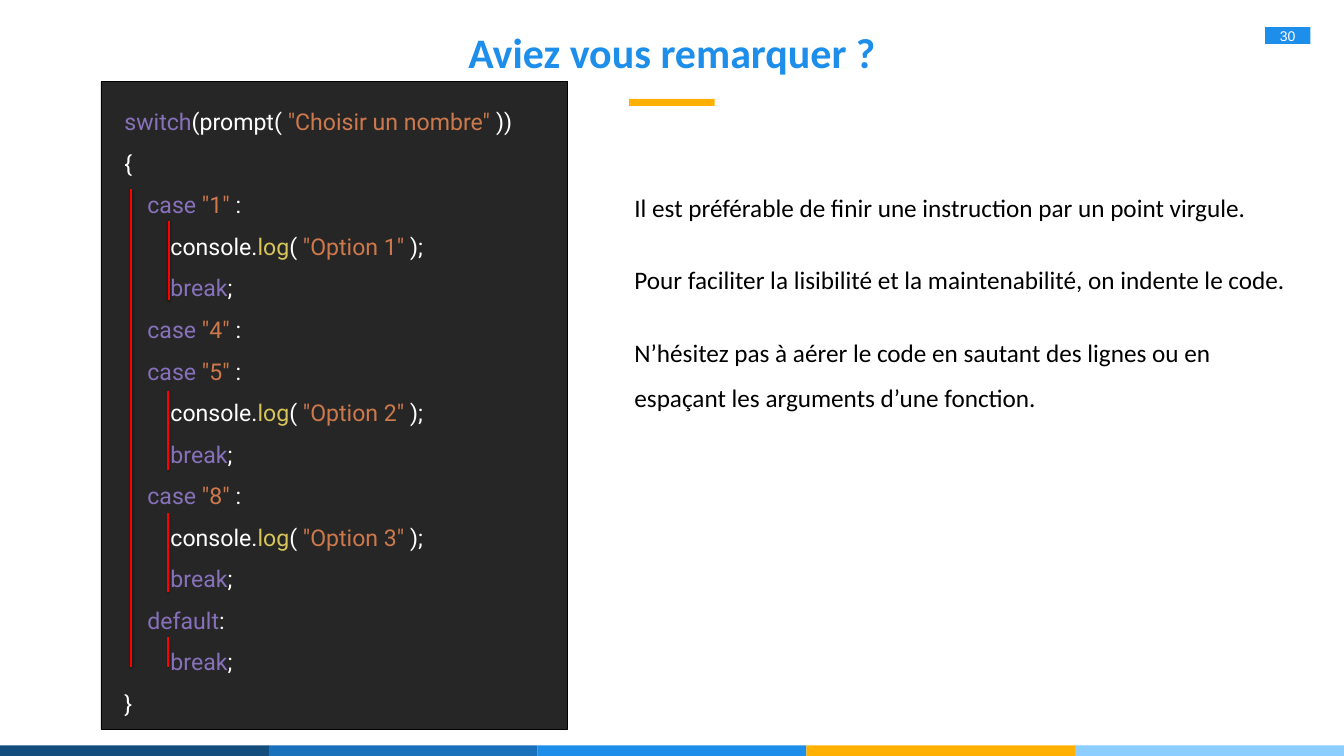
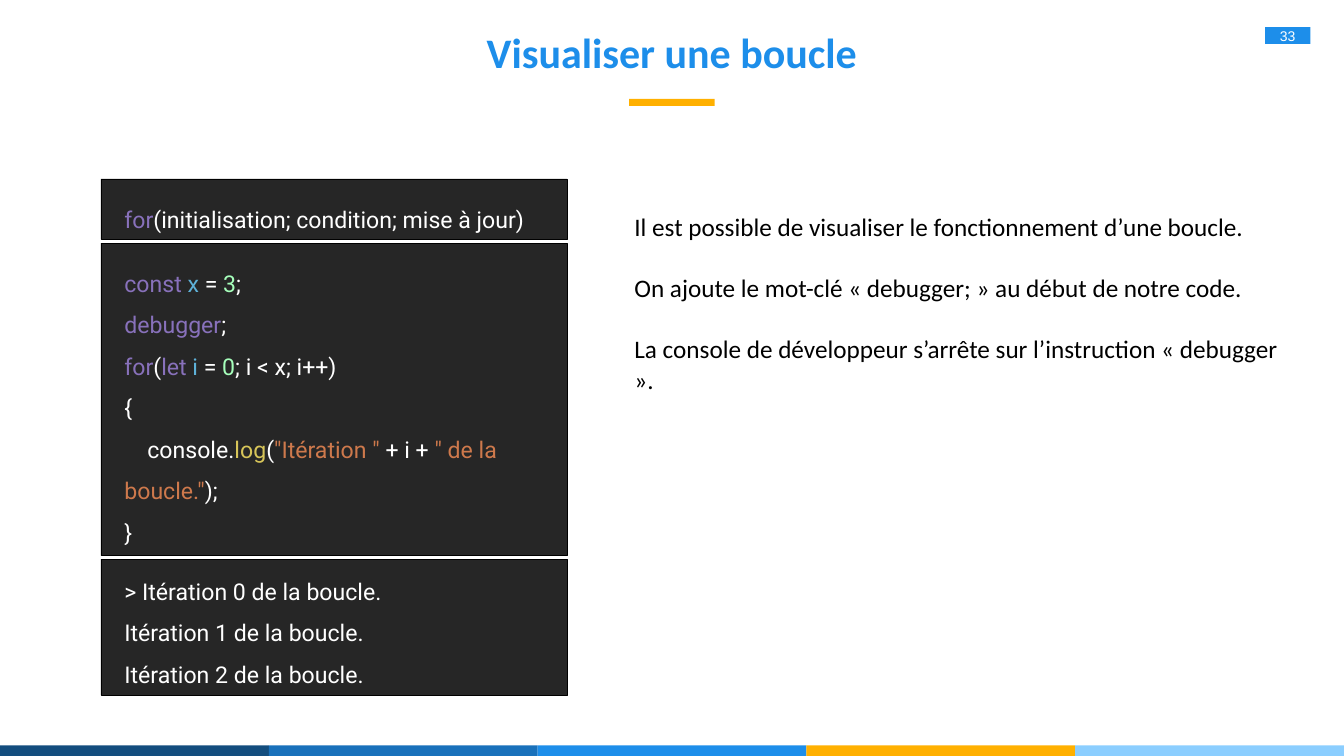
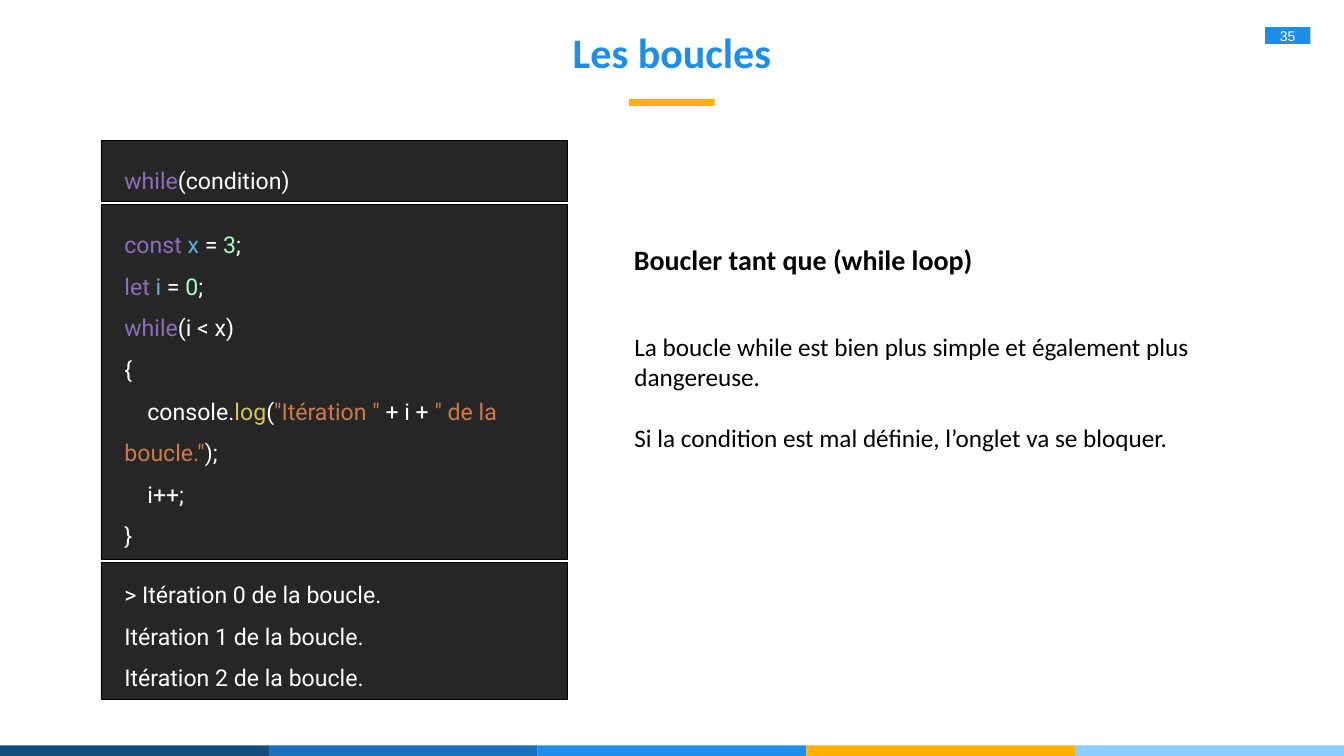
from dataclasses import dataclass
from functools import partial
from typing import Any, NamedTuple

from lxml.etree import SubElement
from pptx import Presentation
from pptx.dml.color import RGBColor
from pptx.enum.shapes import MSO_CONNECTOR, MSO_SHAPE
from pptx.enum.text import MSO_ANCHOR, MSO_AUTO_SIZE, PP_ALIGN
from pptx.oxml.ns import qn
from pptx.util import Cm, Pt

# Shared look
COLOURS = {
    "navy": "134D7E", "blue": "1971BB", "azure": "1D8EEA",
    "amber": "FFB000", "sky": "8BCEFF",
    "panel": "262626", "black": "000000", "white": "FFFFFF", "guide": "FF0000",
    "keyword": "8871BB", "string": "CE794C", "call": "D7C559",
    "name": "5EB1D8", "number": "A6FFBB",
}
BANDS = ["navy", "blue", "azure", "amber", "sky"]
WIDTH, HEIGHT = 67.73, 38.1
BAND_HEIGHT = 0.53
CODE_LEFT, CODE_WIDTH, PANEL_GAP = 5.08, 23.5, 0.18
CODE_INDENT = 1.16
NOTE_LEFT = 31.72

TITLE_FONT = {"name": "Calibri", "size": Pt(60), "bold": True}
NOTE_FONT = {"name": "Calibri", "size": Pt(36)}
HEADING_FONT = {"name": "Calibri", "size": Pt(40), "bold": True}
CODE_FONT = {"name": "Roboto", "size": Pt(33)}
BADGE_FONT = {"name": "Arial", "size": Pt(20)}

PADDED = {"margin_left": Cm(1.19), "margin_right": Cm(1.19),
          "margin_top": Cm(0.61), "margin_bottom": Cm(0.61)}
GROWING = {"word_wrap": True, "auto_size": MSO_AUTO_SIZE.SHAPE_TO_FIT_TEXT}
CODE_FRAME = {**PADDED, **GROWING, "vertical_anchor": MSO_ANCHOR.TOP}
HEADING_FRAME = {**PADDED, **GROWING, "word_wrap": False,
                 "vertical_anchor": MSO_ANCHOR.MIDDLE}
BADGE_FRAME = {"margin_left": 0, "margin_right": 0, "margin_top": 0,
               "margin_bottom": 0, "vertical_anchor": MSO_ANCHOR.MIDDLE}
TITLE_FRAME = {"word_wrap": True, "auto_size": MSO_AUTO_SIZE.NONE,
               "vertical_anchor": MSO_ANCHOR.MIDDLE}


class Token(NamedTuple):
    colour: str
    text: str


class CodeLine(NamedTuple):
    level: int
    tokens: list[Token]


@dataclass
class CodePanel:
    height: float
    lines: list[CodeLine]
    top_inset: float = 0.61


@dataclass
class Note:
    top: float
    height: float
    paragraphs: list[str]
    width: float = 33.38
    line_spacing: float = 1.0


@dataclass
class Lesson:
    number: int
    title: str
    code_top: float
    panels: list[CodePanel]
    notes: list[Note]


class Guide(NamedTuple):
    x: float
    top: float
    bottom: float


# Code vocabulary
plain, keyword, string, call, name, number = (
    partial(Token, colour)
    for colour in ("white", "keyword", "string", "call", "name", "number"))


def line(level: int, *tokens: Token) -> CodeLine:
    return CodeLine(level, list(tokens))


def case(value: str) -> CodeLine:
    return line(1, keyword("case "), string(f'"{value}" '), plain(":"))


def log_option(rank: int) -> CodeLine:
    return line(2, plain("console."), call("log"), plain("( "),
                string(f'"Option {rank}" '), plain(");"))


def declare(word: str, variable: str, value: str) -> CodeLine:
    return line(0, keyword(f"{word} "), name(variable), plain(" = "),
                number(value), plain(";"))


BREAK = line(2, keyword("break"), plain(";"))
OPEN, CLOSE = line(0, plain("{")), line(0, plain("}"))
LOG_ITERATION = line(1, plain("console."), call("log"), plain("("),
                     string('"Itération "'), plain(" + i + "),
                     string('" de la boucle."'), plain(");"))
CONSOLE = CodePanel(6.86, [
    line(0, plain(f"{prompt}Itération {turn} de la boucle."))
    for turn, prompt in enumerate(["> ", "", ""])], top_inset=0.2)

# Content
LESSONS = [
    Lesson(30, "Aviez vous remarquer ?", 4.11, [
        CodePanel(32.66, [
            line(0, keyword("switch"), plain("(prompt( "),
                 string('"Choisir un nombre" '), plain("))")),
            OPEN,
            case("1"), log_option(1), BREAK,
            case("4"), case("5"), log_option(2), BREAK,
            case("8"), log_option(3), BREAK,
            line(1, keyword("default"), plain(":")), BREAK,
            CLOSE,
        ]),
    ], [
        Note(8.81, 2.34, ["Il est préférable de finir une instruction par un "
                          "point virgule."], 33.86, 1.5),
        Note(12.45, 2.34, ["Pour faciliter la lisibilité et la maintenabilité, "
                           "on indente le code."], 33.86, 1.5),
        Note(16.1, 4.62, ["N’hésitez pas à aérer le code en sautant des lignes "
                          "ou en espaçant les arguments d’une fonction."],
             33.86, 1.5),
    ]),
    Lesson(33, "Visualiser une boucle", 9.02, [
        CodePanel(3.05, [line(0, keyword("for"),
                              plain("(initialisation; condition; mise à jour)"))]),
        CodePanel(15.75, [
            declare("const", "x", "3"),
            line(0, keyword("debugger"), plain(";")),
            line(0, keyword("for"), plain("("), keyword("let "), name("i"),
                 plain(" = "), number("0"), plain("; i < x; i++)")),
            OPEN, LOG_ITERATION, CLOSE,
        ]),
        CONSOLE,
    ], [
        Note(10.54, 9.5, [
            "Il est possible de visualiser le fonctionnement d’une boucle.",
            "On ajoute le mot-clé « debugger; » au début de notre code.",
            "La console de développeur s’arrête sur l’instruction « debugger ».",
        ]),
    ]),
    Lesson(35, "Les boucles", 7.09, [
        CodePanel(3.05, [line(0, keyword("while"), plain("(condition)"))]),
        CodePanel(17.86, [
            declare("const", "x", "3"),
            declare("let", "i", "0"),
            line(0, keyword("while"), plain("(i < x)")),
            OPEN, LOG_ITERATION, line(1, plain("i++;")), CLOSE,
        ]),
        CONSOLE,
    ], [
        Note(16.56, 6.4, [
            "La boucle while est bien plus simple et également plus dangereuse.",
            "Si la condition est mal définie, l’onglet va se bloquer.",
        ]),
    ]),
]
INDENT_GUIDES = [
    Guide(6.6, 9.53, 33.6), Guide(8.51, 11.13, 15.11), Guide(8.48, 19.69, 23.67),
    Guide(8.48, 25.86, 29.82), Guide(8.48, 32.11, 33.6),
]


# Drawing helpers
def rgb(colour: str) -> RGBColor:
    return RGBColor.from_string(COLOURS[colour])


def apply(target: Any, values: dict[str, Any]) -> None:
    for attribute, value in values.items():
        setattr(target, attribute, value)


def add_run(paragraph, text: str, font: dict[str, Any], colour: str) -> None:
    run = paragraph.add_run()
    run.text = text
    apply(run.font, font)
    run.font.color.rgb = rgb(colour)


def next_paragraph(frame, index: int):
    return frame.add_paragraph() if index else frame.paragraphs[0]


def add_block(slide, left: float, top: float, width: float, height: float,
              colour: str):
    block = slide.shapes.add_shape(MSO_SHAPE.RECTANGLE, Cm(left), Cm(top),
                                   Cm(width), Cm(height))
    block.shadow.inherit = False
    block.fill.solid()
    block.fill.fore_color.rgb = rgb(colour)
    block.line.fill.background()
    return block


def decorate_layout(slide) -> None:
    """Draw the footer bands and title accent, then hand them to the layout."""
    band_width = WIDTH / len(BANDS)
    decor = [add_block(slide, i * band_width, HEIGHT - BAND_HEIGHT,
                       band_width, BAND_HEIGHT, colour)
             for i, colour in enumerate(BANDS)]
    decor.append(add_block(slide, 31.7, 4.98, 4.32, 0.36, "amber"))
    for shape_id, block in enumerate(decor, start=20):
        block.element.find(f".//{qn('p:cNvPr')}").set("id", str(shape_id))
        slide.slide_layout.shapes.element.append(block.element)


def add_title(slide, text: str) -> None:
    title = slide.shapes.title
    apply(title, {"left": 0, "top": 0, "width": Cm(WIDTH), "height": Cm(5.16)})
    apply(title.text_frame, TITLE_FRAME)
    paragraph = title.text_frame.paragraphs[0]
    paragraph.alignment = PP_ALIGN.CENTER
    add_run(paragraph, text, TITLE_FONT, "azure")


def add_badge(slide, page: int) -> None:
    badge = add_block(slide, 63.75, 1.37, 2.29, 0.84, "azure")
    apply(badge.text_frame, BADGE_FRAME)
    paragraph = badge.text_frame.paragraphs[0]
    paragraph.alignment = PP_ALIGN.CENTER
    add_run(paragraph, str(page), BADGE_FONT, "white")


def add_code(slide, top: float, panel: CodePanel) -> None:
    block = add_block(slide, CODE_LEFT, top, CODE_WIDTH, panel.height, "panel")
    block.line.color.rgb = rgb("black")
    block.line.width = Pt(0.75)
    frame = block.text_frame
    apply(frame, {**CODE_FRAME, "margin_top": Cm(panel.top_inset)})
    for index, code_line in enumerate(panel.lines):
        paragraph = next_paragraph(frame, index)
        apply(paragraph, {"alignment": PP_ALIGN.LEFT, "line_spacing": 1.5})
        # Only the first line is indented: wrapped code returns to the margin
        paragraph._p.get_or_add_pPr().set(
            "indent", str(Cm(code_line.level * CODE_INDENT)))
        for token in code_line.tokens:
            add_run(paragraph, token.text, CODE_FONT, token.colour)


def stack_code(slide, top: float, panels: list[CodePanel]) -> None:
    for panel in panels:
        add_code(slide, top, panel)
        top += panel.height + PANEL_GAP


def add_note(slide, note: Note) -> None:
    frame = slide.shapes.add_textbox(Cm(NOTE_LEFT), Cm(note.top), Cm(note.width),
                                     Cm(note.height)).text_frame
    apply(frame, GROWING)
    for index, text in enumerate(note.paragraphs):
        paragraph = next_paragraph(frame, index)
        apply(paragraph, {"line_spacing": note.line_spacing,
                          "space_before": Pt(44 if index else 0)})
        add_run(paragraph, text, NOTE_FONT, "black")


def add_heading(slide, text: str) -> None:
    frame = slide.shapes.add_textbox(Cm(30.76), Cm(11.61), Cm(19.71),
                                     Cm(2.92)).text_frame
    apply(frame, HEADING_FRAME)
    add_run(frame.paragraphs[0], text, HEADING_FONT, "black")


def add_guide(slide, guide: Guide) -> None:
    rule = slide.shapes.add_connector(MSO_CONNECTOR.STRAIGHT, Cm(guide.x),
                                      Cm(guide.top), Cm(guide.x), Cm(guide.bottom))
    rule.line.color.rgb = rgb("guide")
    rule.line.width = Pt(3)
    effects = SubElement(rule.element.spPr, qn("a:effectLst"))
    shadow = SubElement(effects, qn("a:outerShdw"), blurRad=str(Pt(3)),
                        dist=str(Pt(1.6)), dir="5400000", rotWithShape="0")
    tint = SubElement(shadow, qn("a:srgbClr"), val=COLOURS["black"])
    SubElement(tint, qn("a:alpha"), val="38000")


def main() -> None:
    deck = Presentation()
    apply(deck, {"slide_width": Cm(WIDTH), "slide_height": Cm(HEIGHT)})
    title_only = deck.slide_layouts[5]

    slides = [deck.slides.add_slide(title_only) for _ in LESSONS]
    remarks, _, while_loop = slides
    decorate_layout(remarks)

    for slide, lesson in zip(slides, LESSONS):
        add_title(slide, lesson.title)
        add_badge(slide, lesson.number)
        stack_code(slide, lesson.code_top, lesson.panels)
        for note in lesson.notes:
            add_note(slide, note)

    # Parts found on a single slide
    for guide in INDENT_GUIDES:
        add_guide(remarks, guide)
    add_heading(while_loop, "Boucler tant que (while loop)")

    deck.save("out.pptx")


if __name__ == "__main__":
    main()
